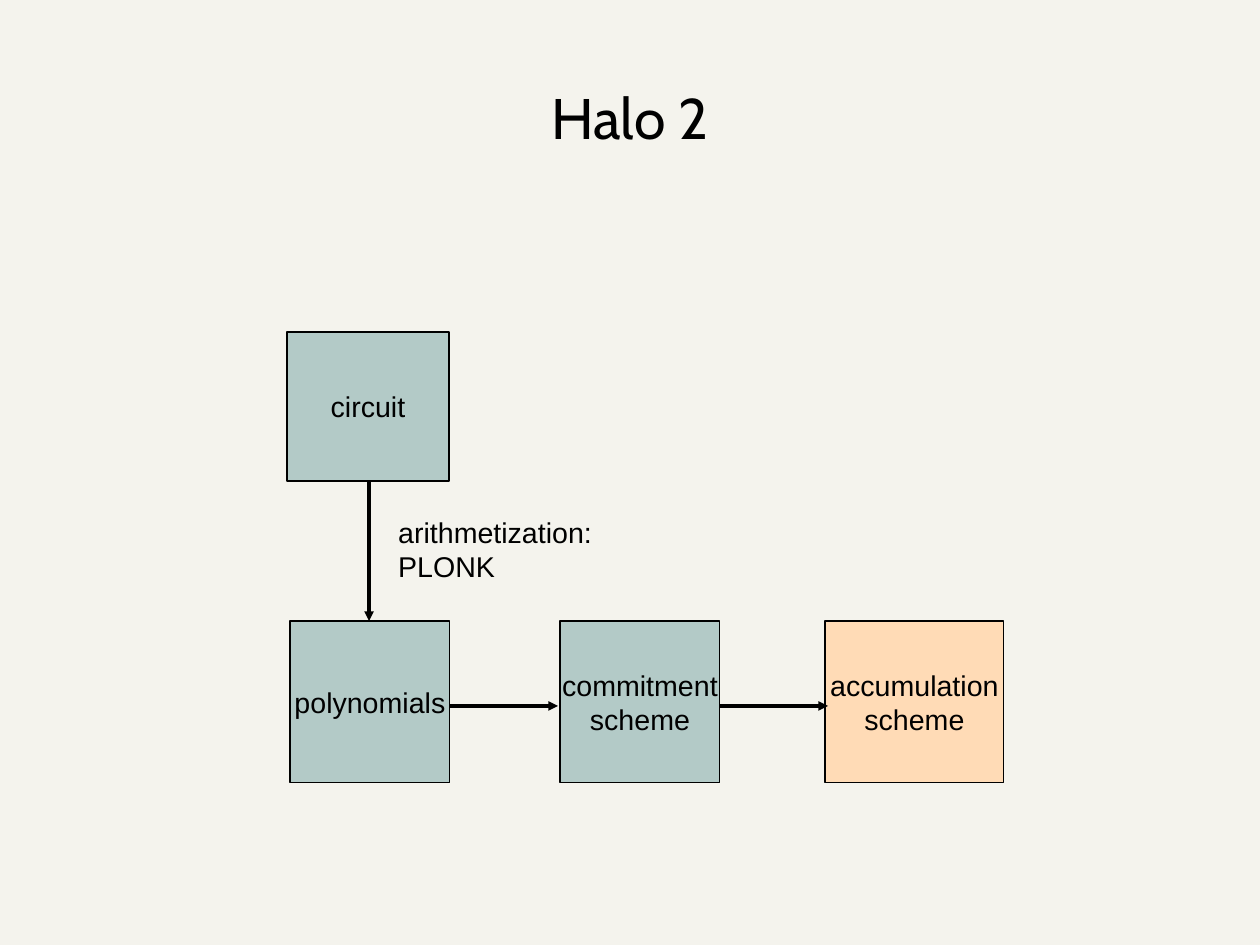
import pptx
import pptx.dml.color
import pptx.enum.shapes
import pptx.enum.text
import pptx.oxml.ns
import pptx.util
from lxml import etree

PX = 8000  # EMU per px
COLORS = {"paper": "F4F3ED", "ink": "000000", "teal": "B3CAC7", "peach": "FFDBB6"}
ANCHOR = pptx.enum.text.MSO_ANCHOR
ALIGN = pptx.enum.text.PP_ALIGN


def px(*lengths):
    return [pptx.util.Emu(n * PX) for n in lengths]


def color(name):
    return pptx.dml.color.RGBColor.from_string(COLORS[name])


def set_text(tf, text, size=18, font="Arial", align=ALIGN.CENTER, anchor=ANCHOR.MIDDLE):
    tf.vertical_anchor = anchor
    p = tf.paragraphs[0]
    p.text = text.replace("\n", "\v")
    p.alignment = align
    p.font.size = pptx.util.Pt(size)
    p.font.name = font
    p.font.color.rgb = color("ink")


def set_line(line):
    line.color.rgb = color("ink")
    line.width = 0


def add_title(s, text, left, top, width, height):
    tf = s.shapes.add_textbox(*px(left, top, width, height)).text_frame
    tf.word_wrap = True
    tf.margin_left = tf.margin_right = tf.margin_top = tf.margin_bottom = 0
    set_text(tf, text, size=36, font="Cabin")


def add_label(s, text, left, top, width, height):
    tf = s.shapes.add_textbox(*px(left, top, width, height)).text_frame
    tf.word_wrap = True
    set_text(tf, text, align=ALIGN.LEFT, anchor=ANCHOR.TOP)


def add_box(s, text, fill, left, top, width, height):
    sp = s.shapes.add_shape(
        pptx.enum.shapes.MSO_SHAPE.RECTANGLE, *px(left, top, width, height))
    sp.shadow.inherit = False
    sp.fill.solid()
    sp.fill.fore_color.rgb = color(fill)
    set_line(sp.line)
    sp.text_frame.word_wrap = False
    set_text(sp.text_frame, text)


def add_arrow(s, x1, y1, x2, y2):
    cxn = s.shapes.add_connector(
        pptx.enum.shapes.MSO_CONNECTOR.STRAIGHT, *px(x1, y1, x2, y2))
    set_line(cxn.line)
    qn = pptx.oxml.ns.qn
    sp_pr = cxn._element.spPr
    etree.SubElement(sp_pr.find(qn("a:ln")), qn("a:tailEnd"), type="triangle")
    etree.SubElement(sp_pr, qn("a:effectLst"))


def main():
    prs = pptx.Presentation()
    prs.slide_width, prs.slide_height = px(1260, 945)
    s = prs.slides.add_slide(prs.slide_layouts[6])
    s.background.fill.solid()
    s.background.fill.fore_color.rgb = color("paper")

    add_title(s, "Halo 2", 63, 38, 1134, 158)

    # Circuit above a row of proof stages
    add_box(s, "circuit", "teal", 287, 332, 162, 149)
    row_top, row_height = 621, 162
    for text, fill, left, width in (
        ("polynomials", "teal", 290, 160),
        ("commitment\nscheme", "teal", 560, 160),
        ("accumulation\nscheme", "peach", 825, 179),
    ):
        add_box(s, text, fill, left, row_top, width, row_height)

    # Arrows between stages
    add_arrow(s, 369, 481, 369, row_top)
    for x in (450, 720):
        add_arrow(s, x, 706, x + 108, 706)

    add_label(s, "arithmetization: \nPLONK", 387, 509, 225, 75)

    prs.save("out.pptx")


if __name__ == "__main__":
    main()
